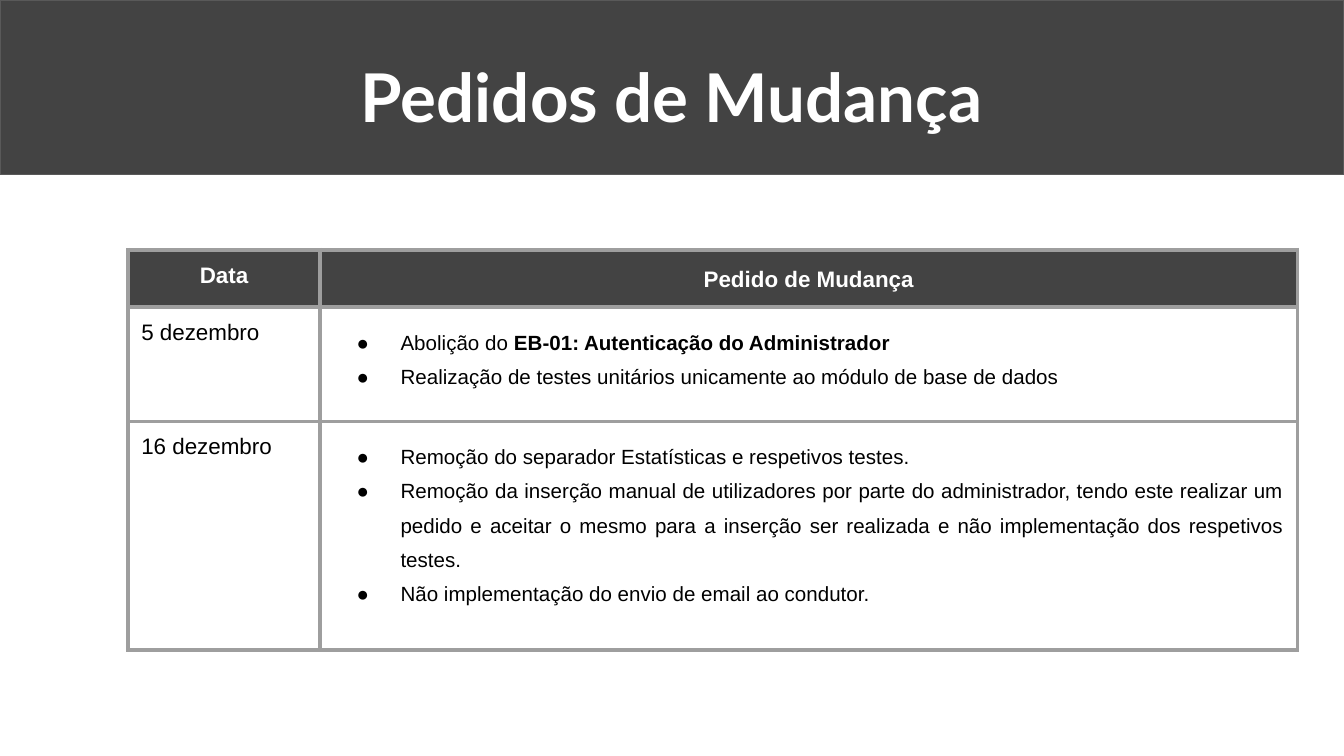
from lxml import etree
from pptx import Presentation
from pptx import util as u
from pptx.dml.color import RGBColor
from pptx.enum import shapes, text
from pptx.oxml import ns

DARK = RGBColor(0x43, 0x43, 0x43)
OUTLINE = RGBColor(0x59, 0x59, 0x59)
WHITE = RGBColor(0xFF, 0xFF, 0xFF)
BLACK = RGBColor(0, 0, 0)
BORDER = RGBColor(0x9E, 0x9E, 0x9E)
MARGIN = u.Cm(0.25)


def add_span(para, words, size, color, bold=False, font="Arial"):
    span = para.add_run()
    span.text = words
    span.font.name = font
    span.font.size = u.Pt(size)
    span.font.bold = bold
    span.font.color.rgb = color


def add_child(parent, tag, **attributes):
    child = etree.SubElement(parent, ns.qn(tag))
    for name, value in attributes.items():
        child.set(name, str(value))
    return child


deck = Presentation()
deck.slide_width = u.Cm(25.4)
deck.slide_height = u.Cm(14.29)
page = deck.slides.add_slide(deck.slide_layouts[6])

banner = page.shapes.add_shape(
    shapes.MSO_SHAPE.RECTANGLE, 0, 0, deck.slide_width, u.Cm(3.3))
banner.shadow.inherit = False
banner.fill.solid()
banner.fill.fore_color.rgb = DARK
banner.line.color.rgb = OUTLINE
banner.line.width = u.Pt(0.75)

title = page.shapes.add_textbox(u.Cm(0.86), u.Cm(0.79), u.Cm(23.67), u.Cm(1.6))
frame = title.text_frame
frame.word_wrap = True
frame.margin_left = frame.margin_right = MARGIN
frame.margin_top = frame.margin_bottom = MARGIN
frame.paragraphs[0].alignment = text.PP_ALIGN.CENTER
add_span(frame.paragraphs[0], "Pedidos de Mudança", 36, WHITE, True, "Lato")

headers = [("Data", None), ("Pedido de Mudança", 1.15)]
requests = [
    ("5 dezembro", text.PP_ALIGN.LEFT, [
        [("Abolição do ", False),
         ("EB-01: Autenticação do Administrador", True)],
        [("Realização de testes unitários unicamente ao módulo de base de dados",
          False)],
    ]),
    ("16 dezembro", text.PP_ALIGN.JUSTIFY, [
        [("Remoção do separador Estatísticas e respetivos testes.", False)],
        [("Remoção da inserção manual de utilizadores por parte do administrador, "
          "tendo este realizar um pedido e aceitar o mesmo para a inserção ser "
          "realizada e não implementação dos respetivos testes.", False)],
        [("Não implementação do envio de email ao condutor.", False)],
    ]),
]
widths = [3.63, 18.47]
heights = [1.04, 2.16, 4.32]

table = page.shapes.add_table(
    len(heights), len(widths), u.Cm(2.42), u.Cm(4.72),
    u.Cm(sum(widths)), u.Cm(sum(heights))).table
table.horz_banding = False
for column, width in zip(table.columns, widths):
    column.width = u.Cm(width)
for row, height in zip(table.rows, heights):
    row.height = u.Cm(height)

for cell in table.iter_cells():
    cell.margin_left = cell.margin_right = MARGIN
    cell.margin_top = cell.margin_bottom = MARGIN
    properties = cell._tc.get_or_add_tcPr()
    for side in ("a:lnL", "a:lnR", "a:lnT", "a:lnB"):
        edge = add_child(properties, side, w=u.Pt(2.25))
        add_child(add_child(edge, "a:solidFill"), "a:srgbClr", val=BORDER)
    cell.fill.background()

for column, (label, spacing) in enumerate(headers):
    cell = table.cell(0, column)
    cell.fill.solid()
    cell.fill.fore_color.rgb = DARK
    para = cell.text_frame.paragraphs[0]
    para.alignment = text.PP_ALIGN.CENTER
    para.line_spacing = spacing
    add_span(para, label, 12, WHITE, True)

for row, (date, alignment, items) in enumerate(requests, start=1):
    add_span(table.cell(row, 0).text_frame.paragraphs[0], date, 12, BLACK)
    frame = table.cell(row, 1).text_frame
    for index, item in enumerate(items):
        para = frame.add_paragraph() if index else frame.paragraphs[0]
        para.alignment = alignment
        para.line_spacing = 1.5
        layout = para._p.get_or_add_pPr()
        layout.set("marL", str(u.Cm(1.27)))
        layout.set("indent", str(u.Cm(-0.83)))
        add_child(add_child(layout, "a:buClr"), "a:srgbClr", val=BLACK)
        add_child(layout, "a:buFont", typeface="Arial")
        add_child(layout, "a:buChar", char="●")
        for words, bold in item:
            add_span(para, words, 11, BLACK, bold)

deck.save("out.pptx")
